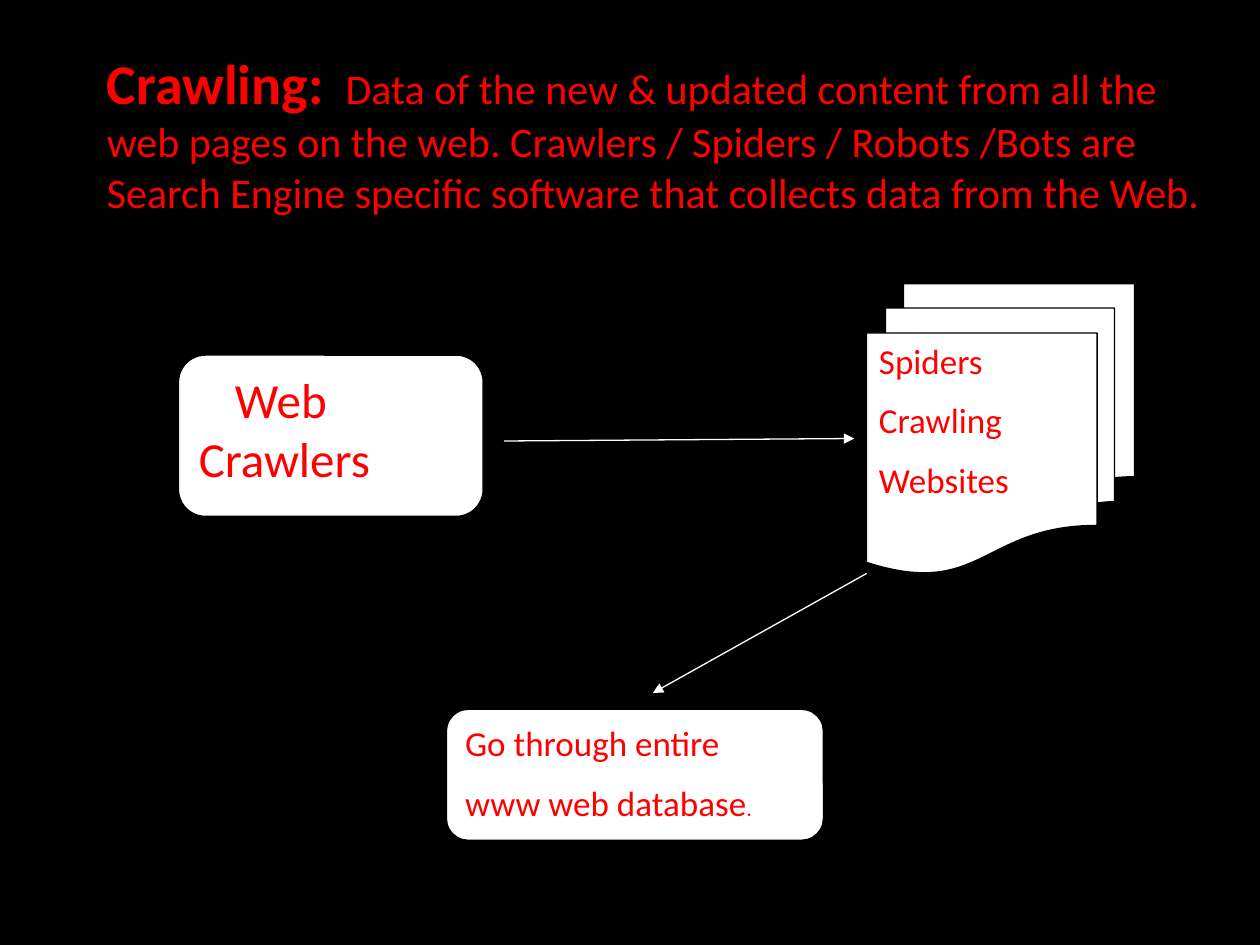
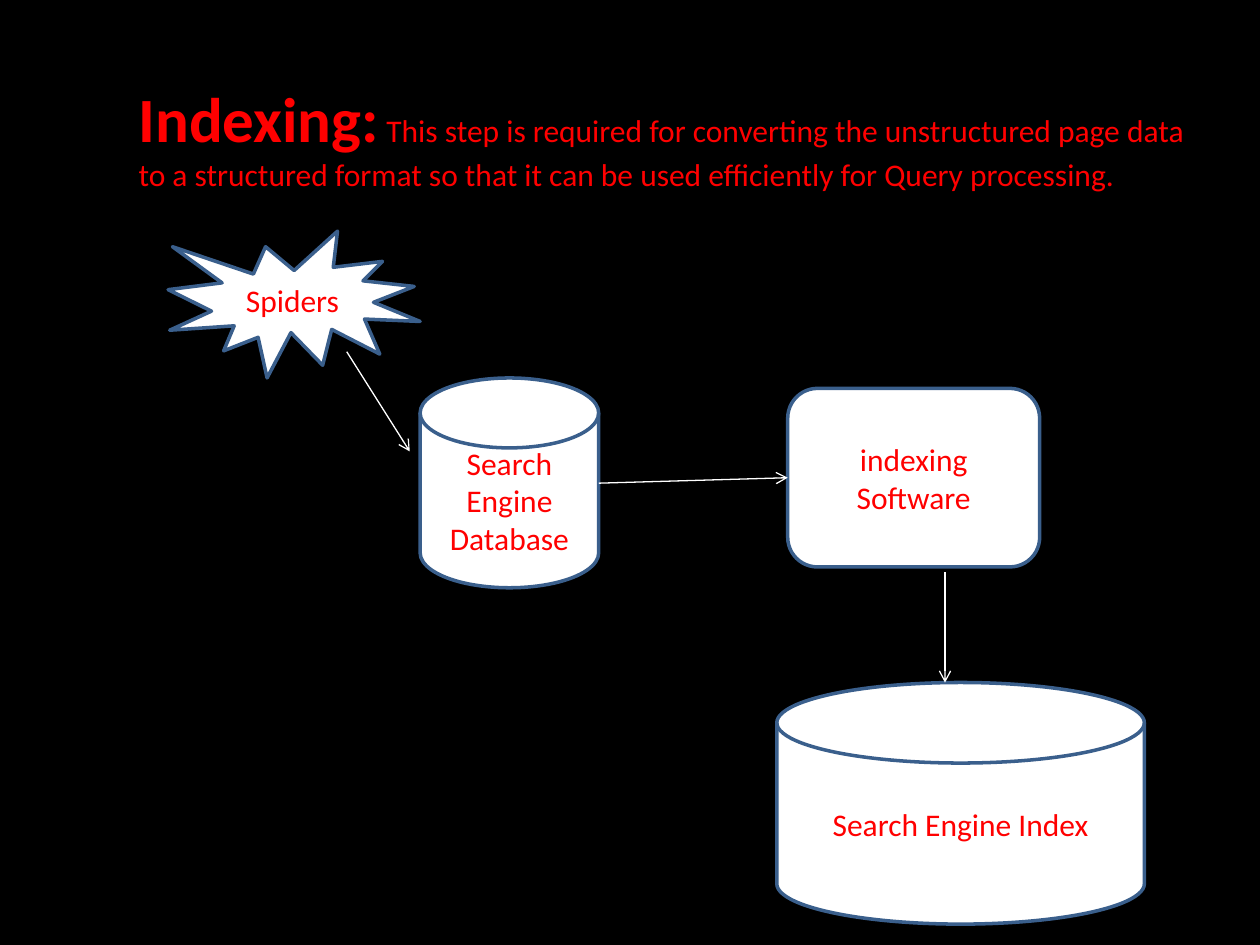
"""Build two slides that explain how a search engine crawls and indexes the web."""
from dataclasses import dataclass

from lxml.etree import SubElement
from pptx import Presentation
from pptx.dml.color import RGBColor
from pptx.enum.shapes import MSO_CONNECTOR as Link, MSO_SHAPE as Shape
from pptx.enum.text import MSO_ANCHOR as Anchor, MSO_AUTO_SIZE as AutoSize, PP_ALIGN as Align
from pptx.oxml.ns import qn
from pptx.util import Cm, Pt


@dataclass(frozen=True)
class Theme:
    font: str = "Calibri"
    background: RGBColor = RGBColor(0, 0, 0)
    text: RGBColor = RGBColor(255, 0, 0)
    panel: RGBColor = RGBColor(255, 255, 255)
    arrow: RGBColor = RGBColor(255, 255, 255)
    thin_edge: RGBColor = RGBColor(0, 0, 0)
    bold_edge: RGBColor = RGBColor(0x3A, 0x5F, 0x8C)
    thin: float = 0.75
    thick: float = 2
    term_crawling: int = 32
    term_indexing: int = 36
    large: int = 28
    lead: int = 24
    medium: int = 20
    body: int = 18
    small: int = 12


THEME = Theme()


def write(paragraph, text, size=THEME.body, bold=False, spacing=0):
    run = paragraph.add_run()
    run.text = text
    run.font.name = THEME.font
    run.font.size = Pt(size)
    run.font.bold = bold
    run.font.color.rgb = THEME.text
    if spacing:
        run.font._element.set("spc", str(spacing * 100))


class Deck:
    def __init__(self, theme):
        self.theme = theme
        self.file = Presentation()
        self.file.slide_width, self.file.slide_height = Cm(25.4), Cm(19.05)
        fill = self.file.slide_master.background.fill
        fill.solid()
        fill.fore_color.rgb = theme.background
        self.slide = None

    def new_slide(self):
        self.slide = self.file.slides.add_slide(self.file.slide_layouts[5])

    def title(self, box, term, term_size, meaning, size, gap=0):
        heading = self.slide.shapes.title
        heading.left, heading.top, heading.width, heading.height = map(Cm, box)
        frame = heading.text_frame
        frame.auto_size = AutoSize.NONE
        frame.word_wrap = True
        frame.vertical_anchor = Anchor.TOP
        line = frame.paragraphs[0]
        line.alignment = Align.LEFT
        write(line, term, size=term_size, bold=True)
        write(line, " ", size=size, spacing=gap)
        write(line, meaning, size=size)

    def panel(self, kind, box, edge, weight):
        panel = self.slide.shapes.add_shape(kind, *map(Cm, box))
        panel.shadow.inherit = False
        panel.fill.solid()
        panel.fill.fore_color.rgb = self.theme.panel
        panel.line.color.rgb = edge
        panel.line.width = Pt(weight)
        panel.text_frame.word_wrap = True
        return panel.text_frame

    def note(self, kind, box, *lines, first_indent=0):
        frame = self.panel(kind, box, self.theme.thin_edge, self.theme.thin)
        frame.vertical_anchor = Anchor.TOP
        for index, runs in enumerate(lines):
            line = frame.add_paragraph() if index else frame.paragraphs[0]
            line.alignment = Align.LEFT
            line.space_after = Pt(10)
            if first_indent:
                line._p.get_or_add_pPr().set("indent", str(Cm(first_indent)))
            for text, size in runs:
                write(line, text, size=size)

    def stage(self, kind, box, label):
        frame = self.panel(kind, box, self.theme.bold_edge, self.theme.thick)
        frame.vertical_anchor = Anchor.MIDDLE
        frame.paragraphs[0].alignment = Align.CENTER
        write(frame.paragraphs[0], label)

    def arrow(self, start, end, head):
        arrow = self.slide.shapes.add_connector(Link.STRAIGHT, *map(Cm, start + end))
        arrow.line.color.rgb = self.theme.arrow
        arrow.line.width = Pt(self.theme.thin)
        SubElement(arrow.line._get_or_add_ln(), qn("a:tailEnd"), type=head)
        SubElement(arrow._element.spPr, qn("a:effectLst"))


def crawling(deck):
    theme = deck.theme
    deck.new_slide()
    deck.title(
        (1.9, 0.85, 22.65, 4.7), "Crawling:", theme.term_crawling,
        "Data of the new & updated content from all the web pages on the web. "
        "Crawlers / Spiders / Robots /Bots are Search Engine specific software "
        "that collects data from the Web.", theme.lead, gap=7)
    deck.note(Shape.ROUNDED_RECTANGLE, (9, 14.3, 7.6, 2.64),
              [("Go through entire", theme.medium)],
              [("www web database", theme.medium), (".", theme.small)])
    deck.note(Shape.FLOWCHART_MULTIDOCUMENT, (17.47, 5.72, 5.4, 5.84),
              *([(word, theme.medium)] for word in ("Spiders", "Crawling", "Websites")))
    deck.note(Shape.ROUNDED_RECTANGLE, (3.6, 7.16, 6.14, 3.25),
              [("Web Crawlers", theme.large)], first_indent=0.73)
    deck.arrow((10.16, 8.89), (17.22, 8.84), "triangle")
    deck.arrow((17.47, 11.56), (13.16, 13.97), "triangle")


def indexing(deck):
    theme = deck.theme
    deck.new_slide()
    deck.title(
        (2.54, 1.47, 21.8, 3.33), "Indexing:", theme.term_indexing,
        "This step is required for converting the unstructured page data to a "
        "structured format so that it can be used efficiently for Query processing.",
        theme.body)
    for kind, box, label in (
        (Shape.EXPLOSION1, (3.39, 4.66, 5.08, 2.96), "Spiders"),
        (Shape.FLOWCHART_MAGNETIC_DISK, (8.47, 7.62, 3.6, 4.23), "Search Engine Database"),
        (Shape.ROUNDED_RECTANGLE, (15.88, 7.83, 5.08, 3.6), "indexing Software"),
        (Shape.FLOWCHART_MAGNETIC_DISK, (15.66, 13.76, 7.41, 4.87), "Search Engine Index"),
    ):
        deck.stage(kind, box, label)
    for start, end in (
        ((12.07, 9.74), (15.88, 9.63)),
        ((6.99, 7.09), (8.26, 9.1)),
        ((19.05, 11.54), (19.05, 13.76)),
    ):
        deck.arrow(start, end, "arrow")


def main():
    deck = Deck(THEME)
    crawling(deck)
    indexing(deck)
    deck.file.save("out.pptx")


if __name__ == "__main__":
    main()
